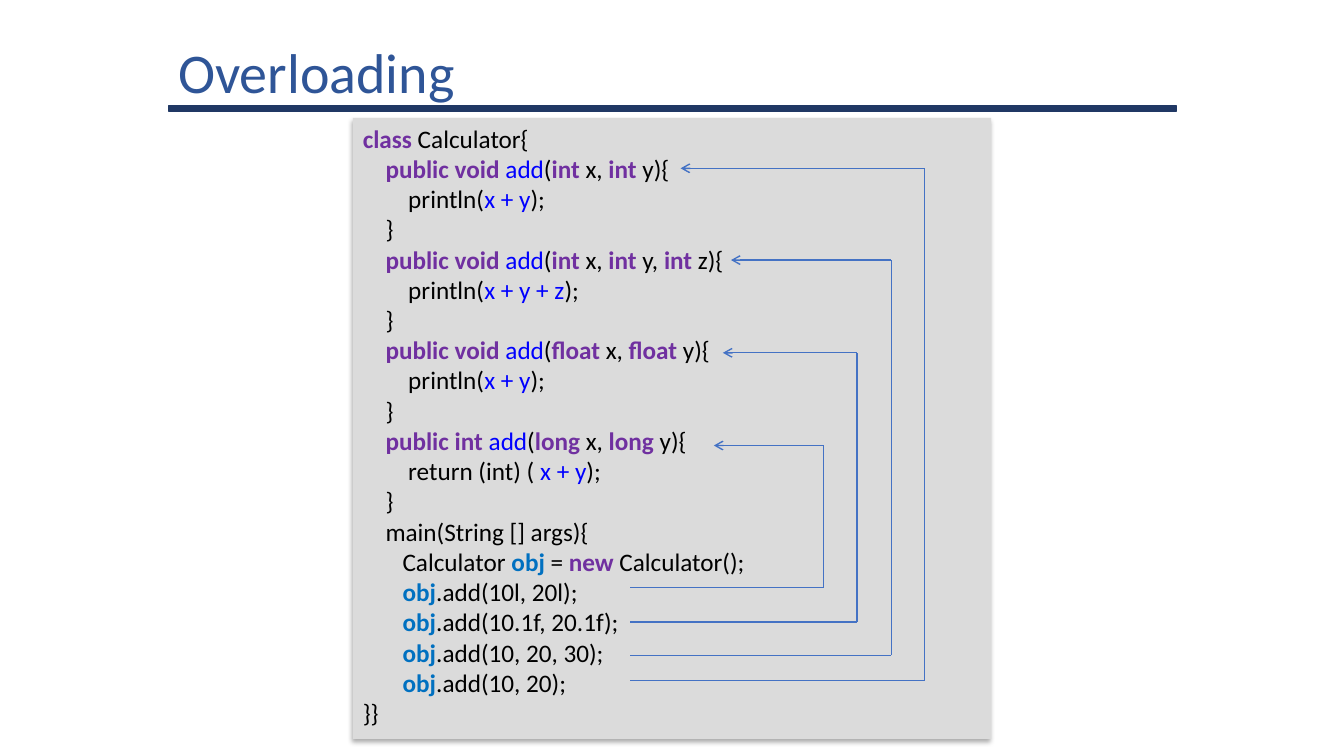
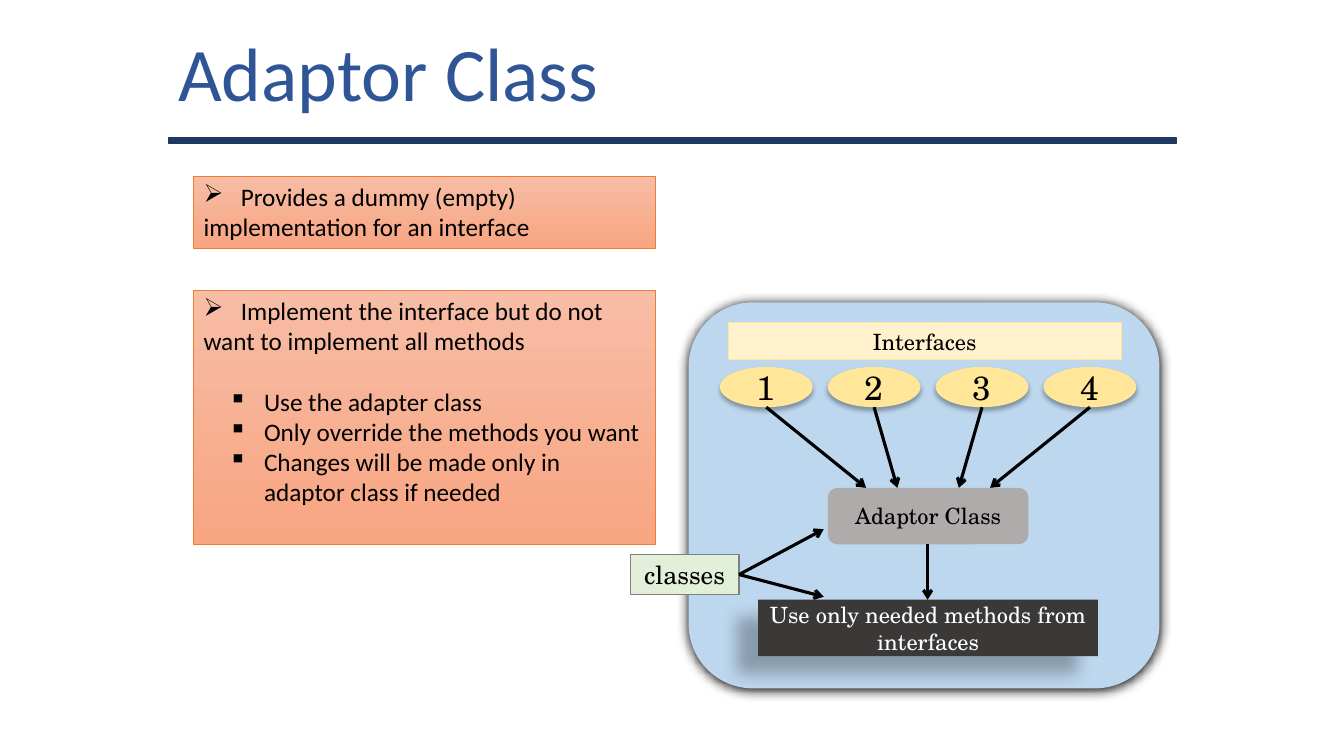
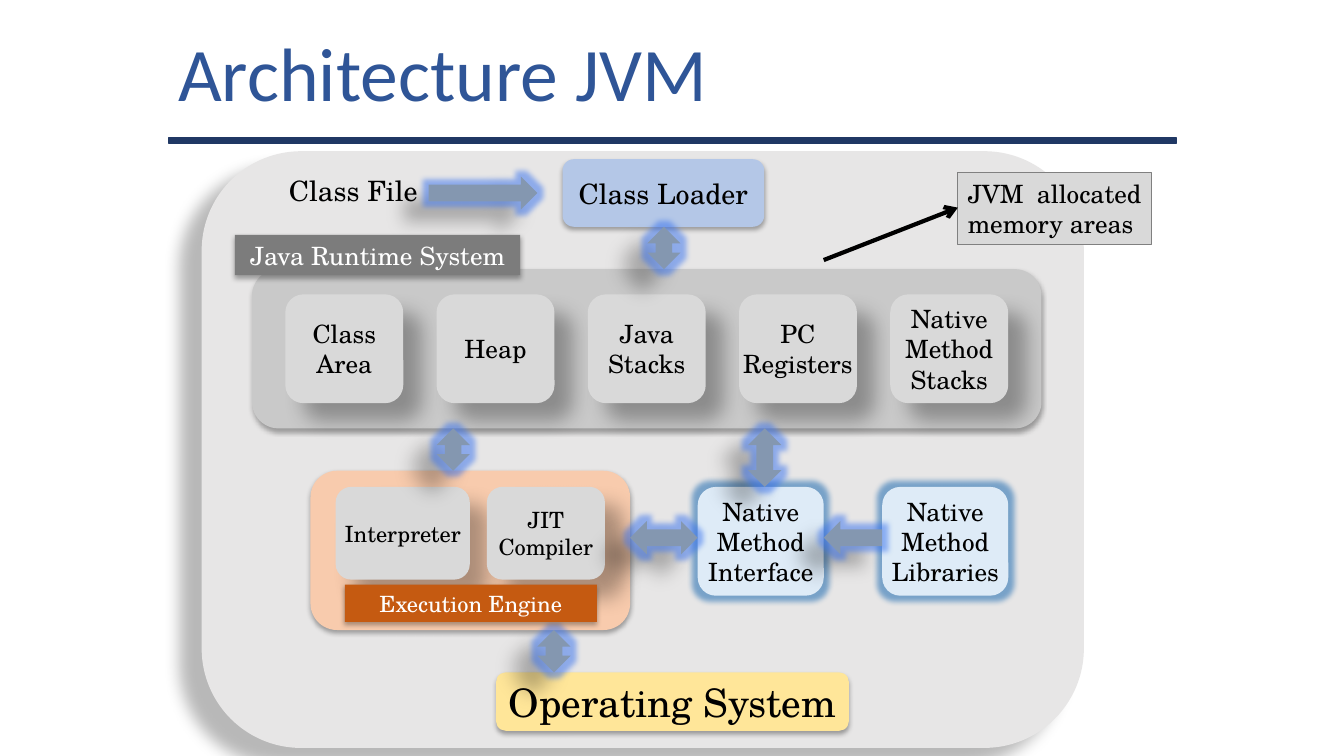
from lxml.etree import SubElement
from pptx import Presentation
from pptx.dml.color import RGBColor
from pptx.enum.shapes import MSO_CONNECTOR, MSO_SHAPE
from pptx.enum.text import MSO_ANCHOR, PP_ALIGN
from pptx.oxml.ns import qn
from pptx.util import Inches, Pt

RECT = MSO_SHAPE.RECTANGLE
ROUND = MSO_SHAPE.ROUNDED_RECTANGLE
OVAL = MSO_SHAPE.OVAL
RIGHT = MSO_SHAPE.RIGHT_ARROW
LEFT = MSO_SHAPE.LEFT_ARROW
BOTH = MSO_SHAPE.LEFT_RIGHT_ARROW
TALL = MSO_SHAPE.UP_DOWN_ARROW
LINE = MSO_CONNECTOR.STRAIGHT
TOP = MSO_ANCHOR.TOP
MIDDLE = MSO_ANCHOR.MIDDLE
START = PP_ALIGN.LEFT
CENTER = PP_ALIGN.CENTER
FULL = PP_ALIGN.JUSTIFY

SANS, SCHOOL = "Calibri", "TeX Gyre Schola"

COLORS = {
    "black": "000000", "white": "FFFFFF", "navy": "203864", "title": "2F5597",
    "code": "DBDBDB", "key": "7030A0", "name": "0000FF", "object": "0070C0",
    "link": "4472C4", "sky": "BDD7EE", "gold": "FFE699", "cream": "FFF2CC",
    "stone": "AFABAB", "coal": "3B3838", "mint": "E2F0D9", "edge": "808080",
    "peach": "F7BDA5", "coral": "F8A582", "orange": "ED7D31", "shell": "E7E6E6",
    "loader": "B4C7E7", "memory": "C9C9C9", "cell": "D9D9D9", "engine": "F8CBAD",
    "native": "DEEBF7", "steel": "8497B0", "gray": "7C7C7C", "rust": "C55A11",
    "glow": "2E75B6", "bright": "3470F0",
}

SHADOWS = {
    "soft": (32, 3.5, 2.2, 90),
    "far": (28, 11.8, 19.7, 141),
    "arrow": (28, 11.8, 19.7, 141),
    "deep": (30, 15, 18, 45),
    "dark": (100, 8.5, 1, 90),
}
GLOWS = {"arrow": ("bright", 8, 50), "native": ("glow", 8, 60)}

MARKS = {"": ("black", False), "*": ("key", True),
         "^": ("name", False), "@": ("object", True)}

CODE = [
    "*class* Calculator{",
    "    *public void *^add^(*int* x, *int* y){",
    "        println(^x + y^);",
    "    }",
    "    *public void *^add^(*int* x, *int* y, *int* z){",
    "        println(^x + y + z^);",
    "    }",
    "    *public void *^add^(*float* x, *float* y){",
    "        println(^x + y^);",
    "    }",
    "    *public int *^add^(*long* x, *long* y){",
    "        return (int) ( ^x + y^);",
    "    }",
    "    main(String [] args){",
    "       Calculator @obj@ = *new* Calculator();",
    "       @obj@.add(10l, 20l);",
    "       @obj@.add(10.1f, 20.1f);",
    "       @obj@.add(10, 20, 30);",
    "       @obj@.add(10, 20);",
    "}}",
]


def color(name):
    return RGBColor.from_string(COLORS[name])


def place(at):
    return [Inches(n) for n in at]


def style(font, face, size, ink, bold=False):
    font.name, font.size, font.bold = face, Pt(size), bold
    font.color.rgb = color(ink)


def frame_of(shape, anchor=MIDDLE, inset=0.1):
    frame = shape.text_frame
    frame.word_wrap = True
    frame.vertical_anchor = anchor
    frame.margin_left = frame.margin_right = Inches(inset)
    return frame


def write(frame, text, face, size, ink, align=CENTER):
    para = frame.paragraphs[0]
    para.text = text
    para.alignment = align
    style(para.font, face, size, ink)


def label(slide, at, text, face, size, ink, align=CENTER, anchor=TOP):
    shape = slide.shapes.add_textbox(*place(at))
    write(frame_of(shape, anchor), text, face, size, ink, align)


def tint(parent, name, alpha):
    node = SubElement(parent, qn("a:srgbClr"), val=COLORS[name])
    SubElement(node, qn("a:alpha"), val=str(alpha * 1000))


def effect(shape, kind):
    shape.shadow.inherit = False
    group = shape._element.spPr.find(qn("a:effectLst"))
    if kind in GLOWS:
        name, reach, alpha = GLOWS[kind]
        tint(SubElement(group, qn("a:glow"), rad=str(Pt(reach))), name, alpha)
    if kind in SHADOWS:
        alpha, blur, dist, angle = SHADOWS[kind]
        node = SubElement(group, qn("a:outerShdw"), blurRad=str(Pt(blur)),
                          dist=str(Pt(dist)), dir=str(angle * 60000), rotWithShape="0")
        tint(node, "black", alpha)


def box(slide, kind, at, fill, text="", size=18, ink="black", line=None,
        width=0.5, shade=None, align=CENTER, inset=0):
    shape = slide.shapes.add_shape(kind, *place(at))
    shape.fill.solid()
    shape.fill.fore_color.rgb = color(fill)
    if line:
        shape.line.color.rgb = color(line)
        shape.line.width = Pt(width)
    else:
        shape.line.fill.background()
    effect(shape, shade)
    if text:
        frame = frame_of(shape, inset=inset)
        frame.margin_top = frame.margin_bottom = 0
        frame.word_wrap = "\v" not in text
        write(frame, text, SCHOOL, size, ink, align)
    return shape


def link(slide, start, end, ink="black", width=2.25, head=True):
    line = slide.shapes.add_connector(LINE, *place(start + end))
    line.line.color.rgb = color(ink)
    line.line.width = Pt(width)
    props = line._element.spPr
    if head:
        SubElement(props.find(qn("a:ln")), qn("a:tailEnd"), type="arrow")
    SubElement(props, qn("a:effectLst"))


def header(deck, title, size=54, rule=1.37):
    slide = deck.slides.add_slide(deck.slide_layouts[6])
    box(slide, RECT, (1.67, rule, 10, 0.05), "navy", line="navy", width=1)
    label(slide, (1.67, 0, 7.83, 1.42), title, SANS, size, "title", START, MIDDLE)
    return slide


def split(line):
    mark = text = ""
    for char in line:
        if char in MARKS:
            if text:
                yield text, mark
            text, mark = "", "" if mark else char
        else:
            text += char
    if text:
        yield text, mark


def listing(slide, at, lines):
    frame = frame_of(box(slide, RECT, at, "code", shade="soft"), TOP)
    for i, line in enumerate(lines):
        para = frame.add_paragraph() if i else frame.paragraphs[0]
        para.alignment = START
        for text, mark in split(line):
            run = para.add_run()
            run.text = text
            ink, bold = MARKS[mark]
            style(run.font, SANS, 18, ink, bold)


def bullet(para, char, left, hang, stop=None):
    props = para._p.get_or_add_pPr()
    props.set("marL", str(Inches(left)))
    props.set("indent", str(Inches(-hang)))
    SubElement(props, qn("a:buChar"), char=char)
    if stop:
        tabs = SubElement(props, qn("a:tabLst"))
        SubElement(tabs, qn("a:tab"), pos=str(Inches(stop)), algn="l")


def note(slide, at, lead, points=()):
    shape = box(slide, RECT, at, "peach", line="orange")
    shape.fill.gradient()
    shape.fill.gradient_angle = 270
    for stop, name in zip(shape.fill.gradient_stops, ("peach", "coral")):
        stop.color.rgb = color(name)
    frame = frame_of(shape, TOP)
    para = frame.paragraphs[0]
    bullet(para, "➢", 0, 0, 0.37)
    write(frame, "\t" + lead, SANS, 18, "black", START)
    for i, point in enumerate(points):
        para = frame.add_paragraph()
        para.text = point
        para.alignment = START
        para.space_before = Pt(0 if i else 21.6)
        bullet(para, "▪", 0.6, 0.35)
        style(para.font, SANS, 18, "black")


def overload(deck):
    slide = header(deck, "Overloading", 40, 1.05)
    listing(slide, (3.5, 1.17, 6.33, 6.16), CODE)
    calls = [(5.83, 4.42, 7.08), (6.17, 3.5, 7.17), (6.5, 2.58, 7.25), (6.75, 1.67, 6.75)]
    for i, (low, high, tip) in enumerate(calls):
        lane = round(8.17 + i / 3, 2)
        spots = [(6.25, low), (lane, low), (lane, high), (tip, high)]
        for j in range(3):
            link(slide, spots[j], spots[j + 1], "link", 1, j == 2)


def adaptor(deck):
    slide = header(deck, "Adaptor Class")
    box(slide, ROUND, (6.83, 3, 4.67, 3.83), "sky", shade="dark")
    box(slide, RECT, (7.22, 3.2, 3.9, 0.37), "cream", "Interfaces", 16, line="gold")
    box(slide, ROUND, (8.21, 4.84, 1.99, 0.56), "stone", "Adaptor Class", 16)
    box(slide, RECT, (7.52, 5.95, 3.37, 0.56), "coal",
        "Use only needed methods from interfaces", 16, "white", shade="far")
    for i, end in enumerate((8.59, 8.9, 9.51, 9.82)):
        left = 7.14 + 1.07 * i
        box(slide, OVAL, (left, 3.64, 0.92, 0.4), "gold", str(i + 1), 24, shade="soft")
        link(slide, (left + 0.46, 4.04), (end, 4.84))
    link(slide, (9.2, 5.4), (9.2, 5.95))
    box(slide, RECT, (6.25, 5.5, 1.08, 0.4), "mint", "classes", line="edge", width=0.75)
    for high in (5.92, 5.25):
        link(slide, (7.33, 5.7), (8.17, high))
    note(slide, (1.92, 1.75, 4.58, 0.71),
         "Provides a dummy (empty) implementation for an interface")
    note(slide, (1.92, 2.88, 4.58, 2.52),
         "Implement the interface but do not want to implement all methods",
         ("Use the adapter class", "Only override the methods you want",
          "Changes will be made only in\vadaptor class if needed"))


def machine(deck):
    slide = header(deck, "Architecture JVM")
    box(slide, ROUND, (2, 1.5, 8.75, 5.92), "shell", shade="far")
    box(slide, ROUND, (5.58, 1.58, 2, 0.67), "loader", "Class Loader", 20, shade="soft")
    box(slide, ROUND, (2.5, 2.67, 7.83, 1.58), "memory", shade="soft")
    areas = ("Class Area", "Heap", "Java Stacks", "PC\vRegisters", "Native Method Stacks")
    for i, text in enumerate(areas):
        box(slide, ROUND, (2.83 + 1.5 * i, 2.92, 1.17, 1.08), "cell", text, shade="deep")
    box(slide, ROUND, (3.08, 4.67, 3.17, 1.58), "engine", shade="soft")
    for left, width, text in ((3.33, 1.33, "Interpreter"), (4.83, 1.17, "JIT Compiler")):
        box(slide, ROUND, (left, 4.83, width, 0.92), "cell", text, 16, shade="deep")
    for left, text in ((6.92, "Native Method Interface"), (8.75, "Native Method Libraries")):
        box(slide, ROUND, (left, 4.83, 1.25, 1.08), "native", text, shade="native")
    box(slide, ROUND, (4.92, 6.67, 3.5, 0.58), "gold", "Operating System", 28, shade="soft")
    label(slide, (2.67, 1.67, 1.67, 0.44), "Class File", SCHOOL, 20, "black")
    arrows = [
        (RIGHT, (4.25, 1.75, 1.08, 0.33)),
        (TALL, (6.42, 2.25, 0.33, 0.42)),
        (TALL, (4.33, 4.25, 0.33, 0.42)),
        (TALL, (5.33, 6.25, 0.33, 0.42)),
        (TALL, (7.42, 4.25, 0.33, 0.58)),
        (BOTH, (6.25, 5.17, 0.67, 0.33)),
        (LEFT, (8.17, 5.17, 0.58, 0.33)),
    ]
    for kind, at in arrows:
        box(slide, kind, at, "steel", shade="arrow")
    box(slide, RECT, (2.33, 2.33, 2.83, 0.4), "gray", "Java Runtime System",
        ink="white", shade="soft")
    box(slide, RECT, (3.42, 5.8, 2.5, 0.37), "rust", "Execution Engine", 16,
        "white", shade="soft")
    box(slide, RECT, (9.5, 1.71, 1.92, 0.71), "cell", "JVM allocated memory areas",
        line="edge", align=FULL, inset=0.1)
    link(slide, (8.17, 2.58), (9.5, 2.06), width=3)


def main():
    deck = Presentation()
    deck.slide_width, deck.slide_height = Inches(13.33), Inches(7.5)
    overload(deck)
    adaptor(deck)
    machine(deck)
    deck.save("out.pptx")


if __name__ == "__main__":
    main()
